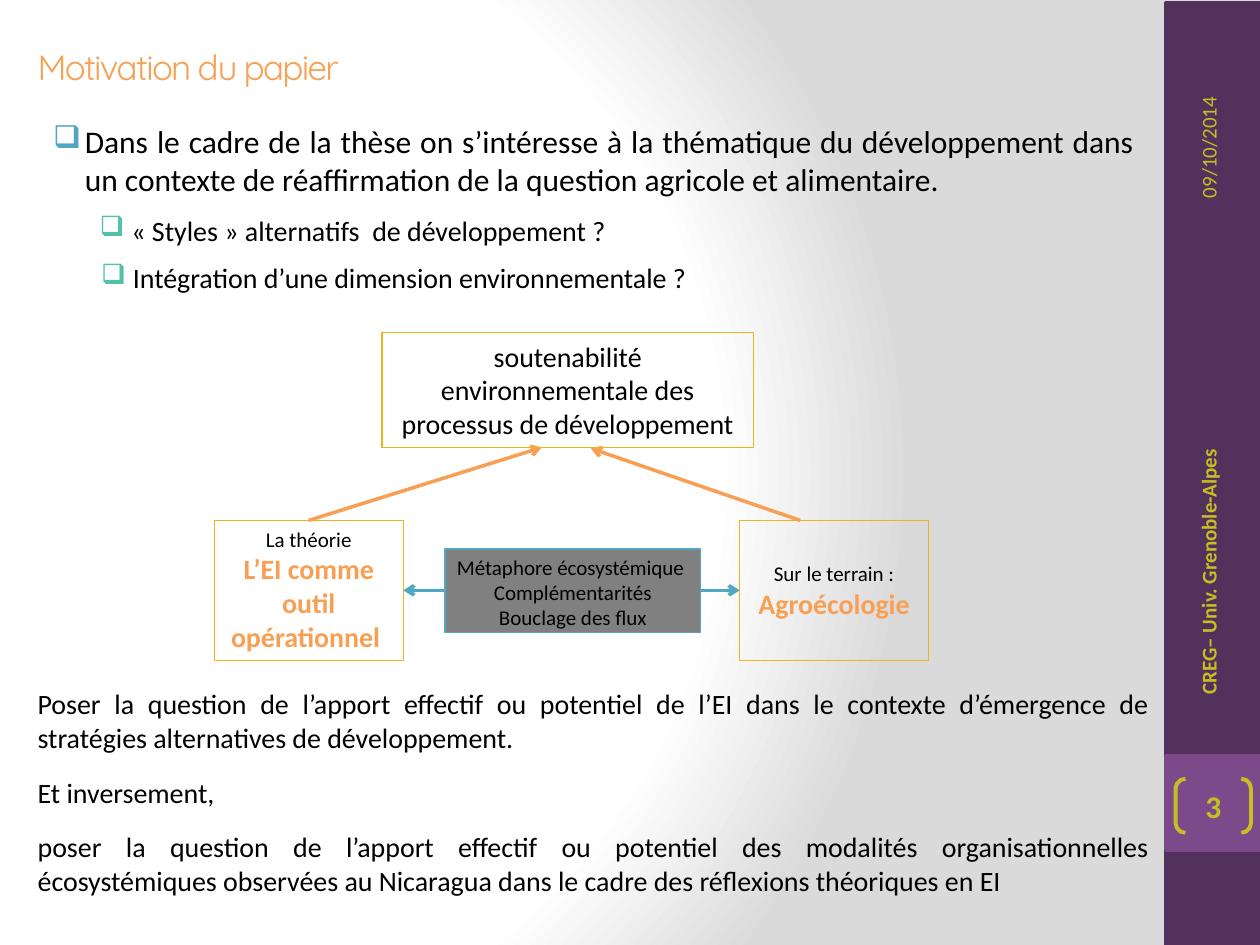
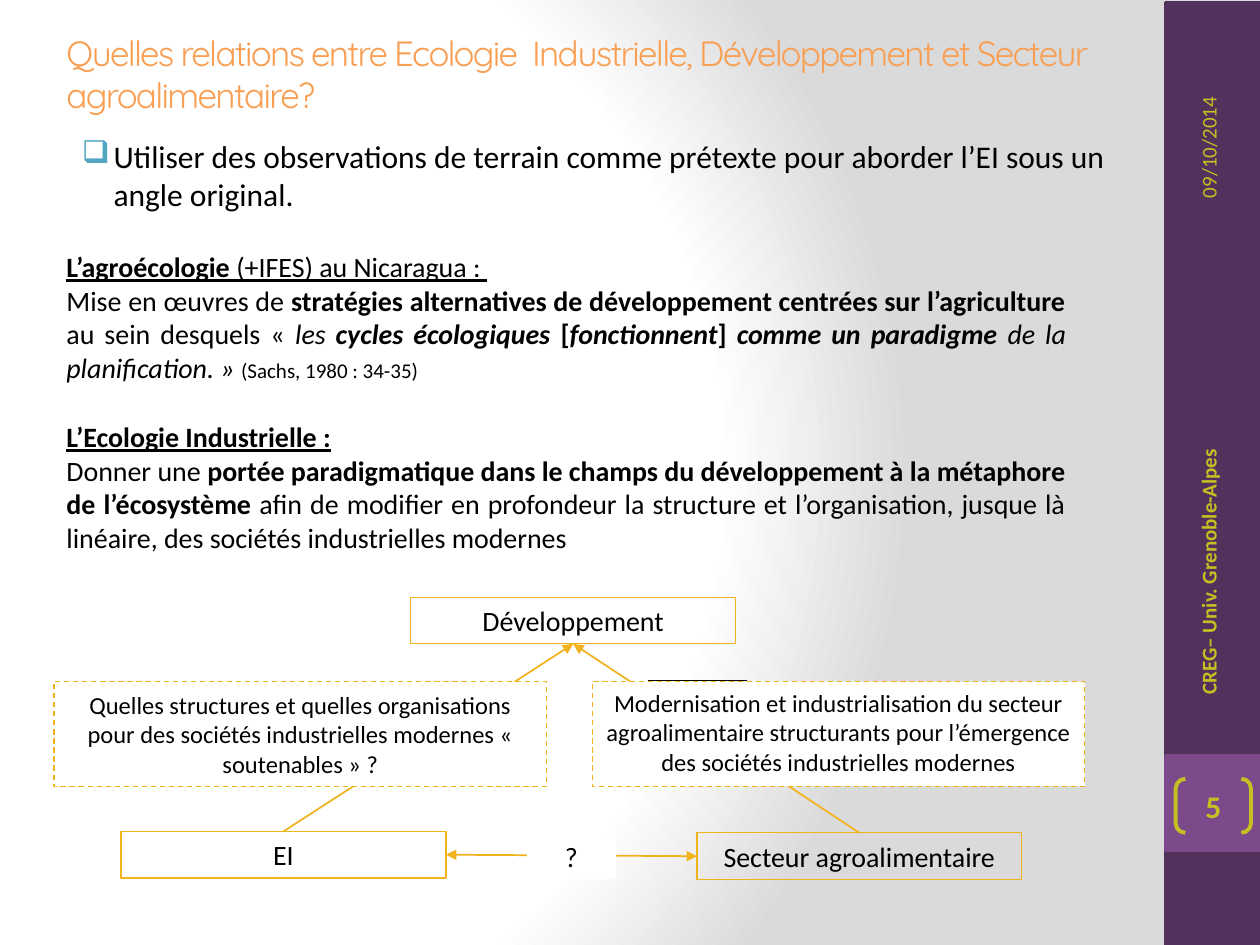
from dataclasses import dataclass
from typing import NamedTuple, Optional

from lxml import etree
from pptx import Presentation
from pptx import util as u
from pptx.dml.color import RGBColor
from pptx.enum import dml, shapes, text
from pptx.oxml import parse_xml
from pptx.oxml.ns import nsdecls, qn

# Shared colours and settings
PLUM, MAUVE, LIME = "53315D", "7C4A8B", "C5BF22"
PEACH, GOLD, BLUE, MINT = "F99F54", "F0B31E", "51A6C2", "51C2A9"
BLACK, WHITE, GREY, SILVER = "000000", "FFFFFF", "808080", "DADADA"
LEFT, MID = text.PP_ALIGN.LEFT, text.PP_ALIGN.CENTER
RIGHT, JUST = text.PP_ALIGN.RIGHT, text.PP_ALIGN.JUSTIFY
TOP, HALF = text.MSO_ANCHOR.TOP, text.MSO_ANCHOR.MIDDLE
RECT = shapes.MSO_SHAPE.RECTANGLE
PAD = (0.25, 0.13, 0.25, 0.13)


class Run(NamedTuple):
    txt: str
    size: float = 16
    bold: bool = False
    ital: bool = False
    under: bool = False
    hue: str = BLACK
    font: str = "Calibri"
    track: int = 0


class Para(NamedTuple):
    runs: list[Run]
    align: text.PP_ALIGN = LEFT
    after: float = 0
    bullet: Optional[str] = None


class Area(NamedTuple):
    x: float
    y: float
    w: float
    h: float


@dataclass
class Box:
    area: Area
    paras: list[Para]
    fill: Optional[str] = None
    line: Optional[str] = GOLD
    width: float = 0.75
    dash: bool = False
    anchor: text.MSO_ANCHOR = TOP
    pad: tuple = PAD
    form: shapes.MSO_SHAPE = RECT


@dataclass
class Link:
    start: tuple
    end: tuple
    hue: str
    width: float
    head: Optional[str] = None
    tail: Optional[str] = None


def rgb(code: str) -> RGBColor:
    return RGBColor.from_string(code)


def place(area: Area) -> list:
    return [u.Cm(v) for v in area]


def write(shape, paras: list[Para], anchor=TOP, pad=PAD) -> None:
    frame = shape.text_frame
    frame.word_wrap = True
    frame.vertical_anchor = anchor
    (frame.margin_left, frame.margin_top,
     frame.margin_right, frame.margin_bottom) = [u.Cm(v) for v in pad]
    for i, para in enumerate(paras):
        p = frame.add_paragraph() if i else frame.paragraphs[0]
        p.alignment = para.align
        if para.after:
            p.space_after = u.Pt(para.after)
        if para.bullet:
            p.space_before = u.Pt(0.2 * para.runs[0].size)
            mark(p, para.bullet)
        for run in para.runs:
            r = p.add_run()
            r.text = run.txt
            f = r.font
            f.name, f.size = run.font, u.Pt(run.size)
            f.bold, f.italic, f.underline = run.bold, run.ital, run.under
            f.color.rgb = rgb(run.hue)
            if run.track:
                r._r.get_or_add_rPr().set("spc", str(run.track))


def mark(p, hue: str) -> None:
    props = p._p.get_or_add_pPr()
    props.set("marL", str(u.Cm(0.95)))
    props.set("indent", str(u.Cm(-0.64)))
    tint = etree.SubElement(props, qn("a:buClr"))
    etree.SubElement(tint, qn("a:srgbClr")).set("val", hue)
    etree.SubElement(props, qn("a:buChar")).set("char", "❑")


def label(slide, area: Area, paras: list[Para], anchor=TOP, pad=PAD, turn=0):
    shape = slide.shapes.add_textbox(*place(area))
    shape.rotation = turn
    write(shape, paras, anchor, pad)
    return shape


def draw(slide, box: Box):
    shape = slide.shapes.add_shape(box.form, *place(box.area))
    shape.shadow.inherit = False
    if box.fill:
        shape.fill.solid()
        shape.fill.fore_color.rgb = rgb(box.fill)
    else:
        shape.fill.background()
    if box.line:
        shape.line.color.rgb = rgb(box.line)
        shape.line.width = u.Pt(box.width)
        if box.dash:
            shape.line.dash_style = dml.MSO_LINE.DASH
    else:
        shape.line.fill.background()
    write(shape, box.paras, box.anchor, box.pad)
    return shape


def join(slide, link: Link) -> None:
    """Each end is (shape, side) to glue, or a point (x, y) in cm."""
    wire = slide.shapes.add_connector(shapes.MSO_CONNECTOR.STRAIGHT, 0, 0, 0, 0)
    (a, b), (c, d) = link.start, link.end
    if isinstance(a, (int, float)):
        wire.begin_x, wire.begin_y = u.Cm(a), u.Cm(b)
    else:
        wire.begin_connect(a, b)
    if isinstance(c, (int, float)):
        wire.end_x, wire.end_y = u.Cm(c), u.Cm(d)
    else:
        wire.end_connect(c, d)
    wire.line.color.rgb = rgb(link.hue)
    wire.line.width = u.Pt(link.width)
    stroke = wire.line._get_or_add_ln()
    for tag, kind in (("a:headEnd", link.head), ("a:tailEnd", link.tail)):
        if kind:
            etree.SubElement(stroke, qn(tag)).set("type", kind)
    etree.SubElement(wire._element.spPr, qn("a:effectLst"))


def paint(slide) -> None:
    stops = "".join(
        f'<a:gs pos="{pos * 1000}"><a:srgbClr val="{hue}"/></a:gs>'
        for pos, hue in ((0, WHITE), (75, WHITE), (100, SILVER)))
    back = parse_xml(
        f'<p:bg {nsdecls("p", "a")}><p:bgPr><a:gradFill rotWithShape="1">'
        f'<a:gsLst>{stops}</a:gsLst><a:path path="circle">'
        '<a:fillToRect l="20000" t="50000" r="100000" b="50000"/></a:path>'
        '</a:gradFill><a:effectLst/></p:bgPr></p:bg>')
    slide._element.cSld.insert(0, back)


def base(deck, title: str, area: Area, num: str):
    """Blank slide with background, side band, footers and title."""
    slide = deck.slides.add_slide(deck.slide_layouts[6])
    paint(slide)
    draw(slide, Box(Area(23.5, 0.05, 1.9, 19.05), [], PLUM, PLUM, 2))
    draw(slide, Box(Area(23.5, 15.24, 1.9, 1.9), [], MAUVE, MAUVE, 2))
    label(slide, Area(21.64, 3.91, 5.44, 1.02),
          [Para([Run("09/10/2014", 12, hue=LIME)], RIGHT)], HALF, turn=270)
    label(slide, Area(20.4, 9.78, 7.92, 1.02),
          [Para([Run("CREG– Univ. Grenoble-Alpes", 12, True, hue=LIME)])],
          HALF, turn=270)
    page = draw(slide, Box(
        Area(23.7, 15.7, 1.52, 1.09),
        [Para([Run(num, 18, True, hue=LIME)], MID)], None, LIME, 2.25,
        anchor=HALF, pad=(0, 0, 0, 0), form=shapes.MSO_SHAPE.DOUBLE_BRACKET))
    page.adjustments[0] = 0.18
    label(slide, area, [Para([Run(title, 20, hue=PEACH, font="Quicksand",
                                  track=-100)])], HALF)
    return slide


def center(*runs: Run) -> list[Para]:
    return [Para([run], MID) for run in runs]


def motive(deck) -> None:
    slide = base(deck, "Motivation du papier", Area(0.51, 0.58, 22.61, 1.52), "3")

    # Bulleted points
    label(slide, Area(0.51, 2.34, 22.61, 1.8), [Para([Run(
        "Dans le cadre de la thèse on s’intéresse à la thématique du "
        "développement dans un contexte de réaffirmation de la question "
        "agricole et alimentaire.", 18)], JUST, bullet=BLUE)])
    for area, line in (
            (Area(1.7, 4.17, 12, 0.97), "« Styles » alternatifs  de développement ?"),
            (Area(1.73, 5.13, 12.4, 0.94),
             "Intégration d’une dimension environnementale ?")):
        label(slide, area, [Para([Run(line)], bullet=MINT)],
              pad=(0, 0.13, 0, 0.13))

    # Triangle of ideas
    theory = draw(slide, Box(Area(4.32, 10.49, 3.81, 2.82), center(
        Run("La théorie", 12),
        Run("L’EI comme outil opérationnel ", bold=True, hue=PEACH))))
    field = draw(slide, Box(Area(14.91, 10.49, 3.81, 2.82), center(
        Run("Sur le terrain :", 12),
        Run("Agroécologie", bold=True, hue=PEACH)), anchor=HALF))
    join(slide, Link((field, 1), (theory, 3), BLUE, 2, "arrow", "arrow"))
    draw(slide, Box(Area(8.97, 11.07, 5.16, 1.68), center(
        Run("Métaphore écosystémique ", 12), Run("Complémentarités", 12),
        Run("Bouclage des flux", 12)), GREY, BLUE, pad=(0.2, 0.1, 0.2, 0.1)))
    join(slide, Link((16.13, 10.49), (11.91, 9.04), PEACH, 2, tail="arrow"))
    join(slide, Link((theory, 0), (10.92, 9.02), PEACH, 2, tail="arrow"))
    draw(slide, Box(Area(7.7, 6.71, 7.49, 2.31), center(
        Run("soutenabilité environnementale des processus de développement"))))

    # Closing questions
    label(slide, Area(0.51, 13.72, 22.91, 4.52), [
        Para([Run(line)], JUST, 12) for line in (
            "Poser la question de l’apport effectif ou potentiel de l’EI dans "
            "le contexte d’émergence de stratégies alternatives de développement.",
            "Et inversement, ",
            "poser la question de l’apport effectif ou potentiel des modalités "
            "organisationnelles écosystémiques observées au Nicaragua dans le "
            "cadre des réflexions théoriques en EI")])


def ties(deck) -> None:
    slide = base(deck, "Quelles relations entre Ecologie  Industrielle, "
                 "Développement et Secteur agroalimentaire?",
                 Area(1.09, 0.33, 21.41, 2.31), "5")
    label(slide, Area(1.09, 2.64, 21.79, 1.88), [Para([Run(
        "Utiliser des observations de terrain comme prétexte pour aborder "
        "l’EI sous un angle original.", 18)], bullet=BLUE)])

    # Three poles and their links
    goal, eco, farm = [
        draw(slide, Box(Area(x, y, 6.55, 0.94), center(Run(name))))
        for x, y, name in ((8.28, 12.04, "Développement"), (2.44, 16.76, "EI"),
                           (14.05, 16.79, "Secteur agroalimentaire"))]
    for pole in (eco, farm):
        join(slide, Link((goal, 2), (pole, 0), GOLD, 1, "triangle"))
    join(slide, Link((farm, 1), (eco, 3), GOLD, 1, "triangle", "triangle"))
    draw(slide, Box(Area(10.62, 16.79, 1.8, 0.94), center(Run("?")), WHITE, None))

    # Dashed questions over the links
    join(slide, Link((13.06, 13.72), (15.06, 13.72), BLACK, 1))
    for x, anchor, line in (
            (11.94, TOP, "Modernisation et industrialisation du secteur "
             "agroalimentaire structurants pour l’émergence des sociétés "
             "industrielles modernes"),
            (1.09, HALF, "Quelles structures et quelles organisations pour des "
             "sociétés industrielles modernes « soutenables » ?")):
        draw(slide, Box(Area(x, 13.74, 9.93, 2.11), center(Run(line, 14)),
                        WHITE, dash=True, anchor=anchor))

    # Two bodies of thought
    label(slide, Area(1.09, 4.9, 20.65, 3.07), [
        Para([Run("L’agroécologie", bold=True, under=True),
              Run(" (+IFES) au Nicaragua : ", under=True)], JUST),
        Para([Run("Mise en œuvres de "),
              Run("stratégies alternatives de développement centrées sur "
                  "l’agriculture ", bold=True),
              Run("au sein desquels « "),
              Run("les ", ital=True),
              Run("cycles écologiques ", bold=True, ital=True),
              Run("[", bold=True),
              Run("fonctionnent", bold=True, ital=True),
              Run("]", bold=True),
              Run(" comme un paradigme ", bold=True, ital=True),
              Run("de la planification. » ", ital=True),
              Run("(Sachs, 1980 : 34-35) ", 12)], JUST)])
    label(slide, Area(1.09, 8.33, 20.65, 3), [
        Para([Run("L’Ecologie Industrielle :", bold=True, under=True)], JUST),
        Para([Run("Donner une "),
              Run("portée paradigmatique dans le champs du développement à la "
                  "métaphore de l’écosystème", bold=True),
              Run(" afin de modifier en profondeur la structure et "
                  "l’organisation, jusque là linéaire, des sociétés "
                  "industrielles modernes")], JUST)])


def main() -> None:
    deck = Presentation()
    deck.slide_width, deck.slide_height = u.Cm(25.4), u.Cm(19.05)
    motive(deck)
    ties(deck)
    deck.save("out.pptx")


if __name__ == "__main__":
    main()
